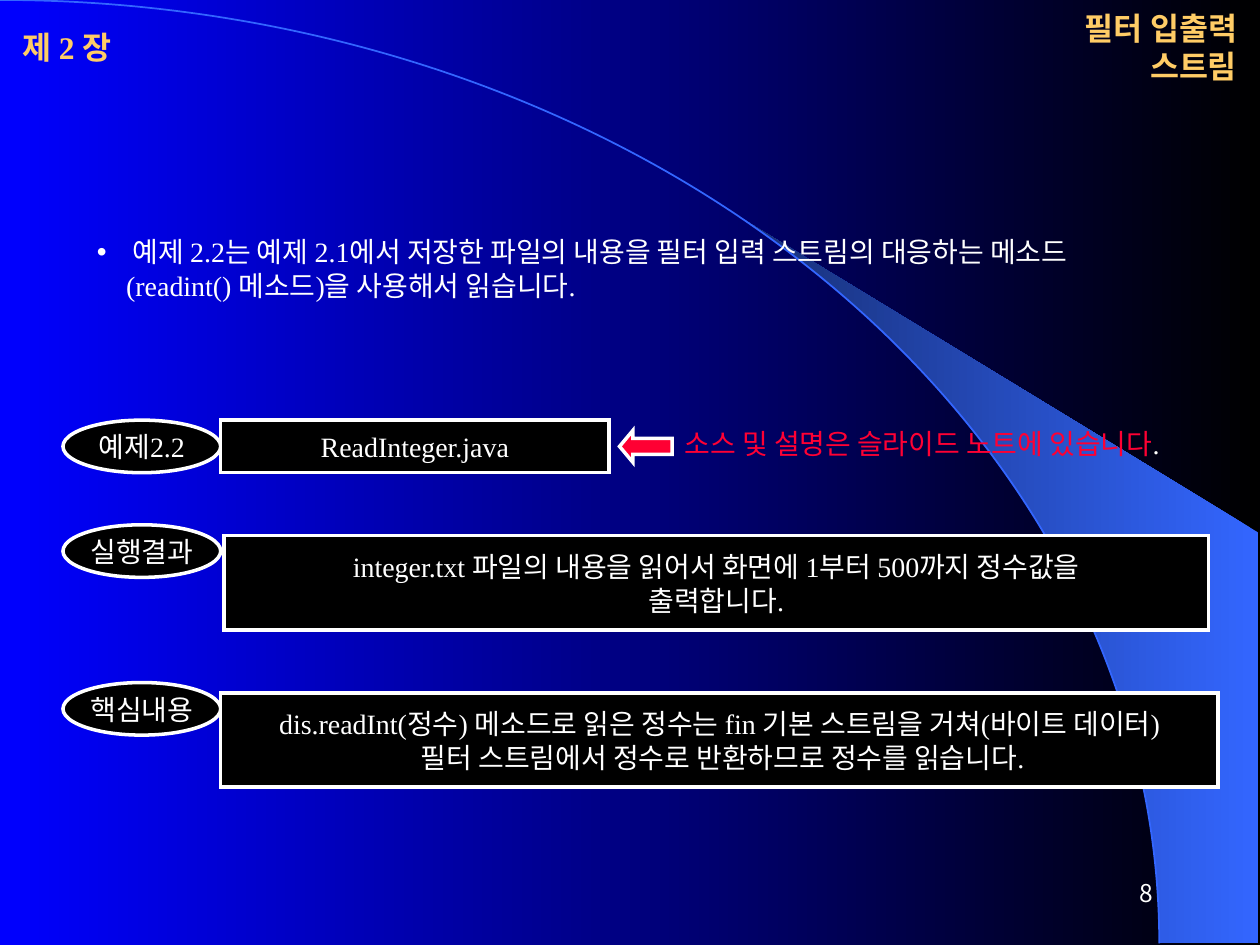
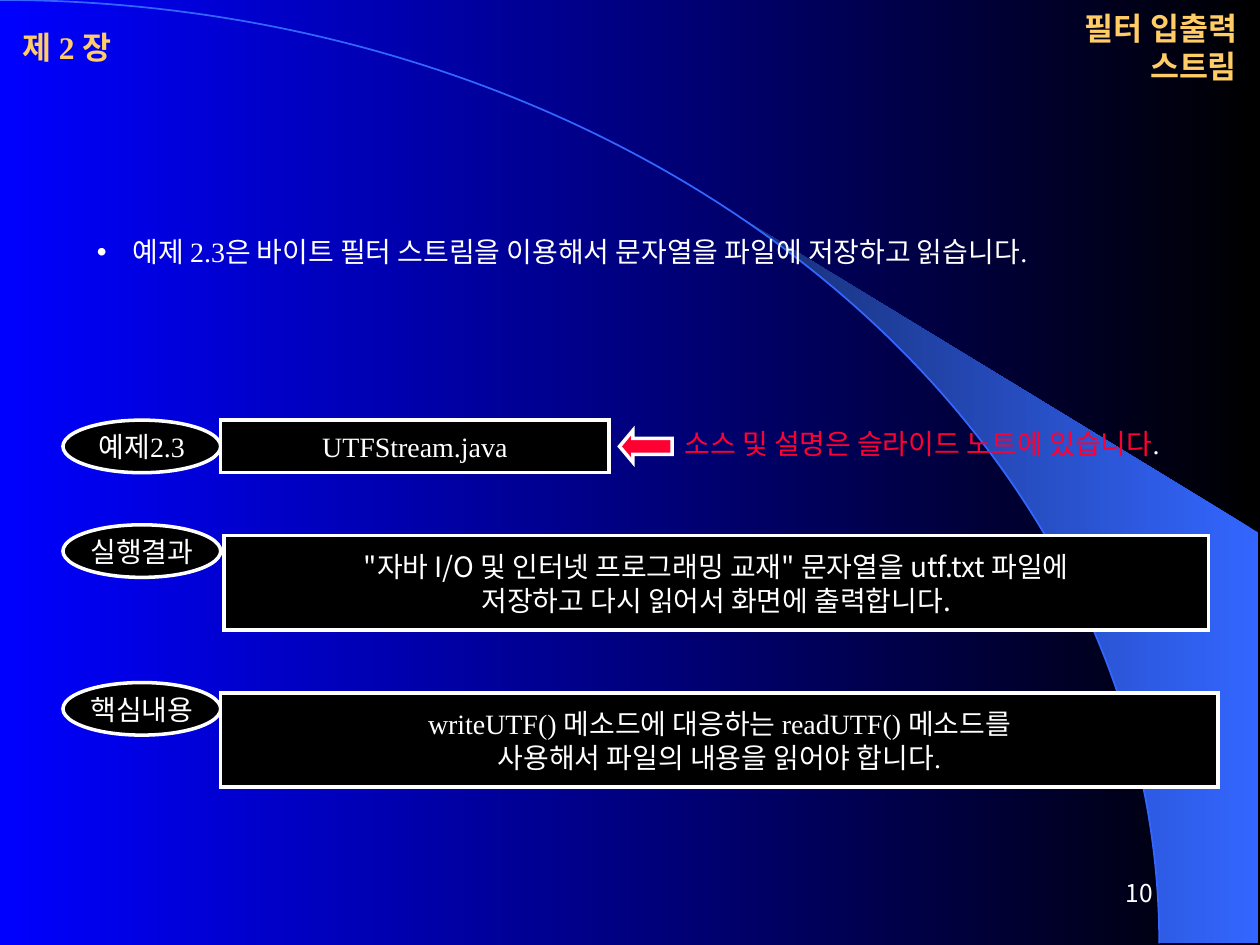
from dataclasses import dataclass
from math import asin, cos, pi, sin

from lxml import etree
from pptx import Presentation
from pptx.dml.color import RGBColor
from pptx.enum.shapes import MSO_SHAPE
from pptx.enum.text import MSO_ANCHOR, MSO_AUTO_SIZE, PP_ALIGN
from pptx.oxml.ns import qn
from pptx.util import Cm, Pt

ARC, ARROW = MSO_SHAPE.ARC, MSO_SHAPE.LEFT_ARROW
OVAL, RECT = MSO_SHAPE.OVAL, MSO_SHAPE.RECTANGLE
LEFT, MID, RIGHT = PP_ALIGN.LEFT, PP_ALIGN.CENTER, PP_ALIGN.RIGHT
TOP, CENTER = MSO_ANCHOR.TOP, MSO_ANCHOR.MIDDLE
FIXED = MSO_AUTO_SIZE.NONE


@dataclass(frozen=True)
class Theme:
    white: str = "FFFFFF"
    black: str = "000000"
    blue: str = "0000FF"
    gold: str = "FFCC66"
    red: str = "FF0033"
    sky: str = "3366FF"
    navy: str = "172F75"
    serif: str = "Times New Roman"
    sans: str = "Noto Sans CJK KR"
    head: float = 18
    text: float = 16
    foot: float = 14
    lead: float = 19.4
    gap: float = 10
    edge: float = 2
    thin: float = 1


@dataclass(frozen=True)
class Box:
    left: float
    top: float
    width: float
    height: float

    def cm(self) -> list:
        return [Cm(n) for n in (self.left, self.top, self.width, self.height)]


@dataclass(frozen=True)
class Page:
    number: str
    intro: str
    lines: int
    label: str
    code: str
    result: str
    font: str
    point: str


THEME = Theme()
WIDE, HIGH = 25.4, 19.05
CURVE_X, CURVE_Y = 23.37, 19.02
CHAPTER, TOPIC = "제 2 장", "필터 입출력 스트림"
HEAD_LEFT = Box(0.21, 0.42, 3.6, 1.06)
HEAD_RIGHT = Box(21.38, 0.42, 3.81, 1.06)
CODE = Box(4.45, 8.47, 7.83, 1.06)
POINTER = Box(12.49, 8.68, 1.06, 0.64)
NOTE = Box(13.55, 8.47, 11.22, 0.93)
RESULT = Box(4.52, 10.8, 19.84, 1.9)
POINT = Box(4.45, 13.97, 20.11, 1.9)
NUMBER = Box(18.2, 17.36, 5.29, 1.27)
TAG_TOPS = (8.47, 10.58, 13.76)

PAGES = (
    Page(
        "8",
        " 예제 2.2는 예제 2.1에서 저장한 파일의 내용을 필터 입력 스트림의 대응하는 "
        "메소드(readint() 메소드)을 사용해서 읽습니다.",
        2,
        "예제2.2",
        "ReadInteger.java",
        "integer.txt 파일의 내용을 읽어서 화면에 1부터 500까지 정수값을\n출력합니다.",
        THEME.serif,
        "dis.readInt(정수) 메소드로 읽은 정수는 fin 기본 스트림을 거쳐(바이트 데이터)\n"
        " 필터 스트림에서 정수로 반환하므로 정수를 읽습니다.",
    ),
    Page(
        "10",
        " 예제 2.3은 바이트 필터 스트림을 이용해서 문자열을 파일에 저장하고 읽습니다.",
        1,
        "예제2.3",
        "UTFStream.java",
        '"자바 I/O 및 인터넷 프로그래밍 교재" 문자열을 utf.txt 파일에\n'
        "저장하고 다시 읽어서 화면에 출력합니다.",
        THEME.sans,
        "writeUTF() 메소드에 대응하는 readUTF() 메소드를\n사용해서 파일의 내용을 읽어야 합니다.",
    ),
)


def rgb(code: str) -> RGBColor:
    return RGBColor.from_string(code)


def add_run(para, text: str, font: str, size: float, color: str, bold: bool) -> None:
    run = para.add_run()
    run.text = text
    run.font.name = font
    run.font.size = Pt(size)
    run.font.bold = bold
    run.font.color.rgb = rgb(color)
    east = etree.SubElement(run.font._element, qn("a:ea"))
    east.set("typeface", THEME.sans)


def put_text(frame, text: str, *, font: str = THEME.serif, size: float = THEME.text,
             color: str = THEME.white, bold: bool = False, align=MID, anchor=CENTER,
             wrap: bool = False, lead: float | None = THEME.lead, gap: float = 0,
             tail: str = "") -> None:
    frame.auto_size = FIXED
    frame.word_wrap = wrap
    frame.vertical_anchor = anchor
    for index, line in enumerate(text.split("\n")):
        para = frame.add_paragraph() if index else frame.paragraphs[0]
        para.alignment = align
        para.space_before = Pt(gap)
        if lead:
            para.line_spacing = Pt(lead)
        add_run(para, line, font, size, color, bold)
    if tail:
        add_run(para, tail, font, size, THEME.white, bold)


def place(shape, box: Box) -> None:
    shape.left, shape.top, shape.width, shape.height = box.cm()


def add_text(slide, box: Box, text: str, **style) -> None:
    put_text(slide.shapes.add_textbox(*box.cm()).text_frame, text, **style)


def add_panel(slide, kind, box: Box, text: str = "", fill: str = THEME.black, **style):
    shape = slide.shapes.add_shape(kind, *box.cm())
    shape.shadow.inherit = False
    shape.fill.solid()
    shape.fill.fore_color.rgb = rgb(fill)
    shape.line.color.rgb = rgb(THEME.white)
    shape.line.width = Pt(THEME.edge)
    line = shape.element.spPr.find(qn("a:ln"))
    etree.SubElement(line, qn("a:miter"), lim="800000")
    if text:
        put_text(shape.text_frame, text, **style)
    return shape


def shade(fill, start: str, end: str) -> None:
    fill.gradient()
    fill.gradient_angle = 180
    for stop, color, spot in zip(fill.gradient_stops, (start, end), (0, 1)):
        stop.color.rgb = rgb(color)
        stop.position = spot


def add_beam(slide):
    first = asin(0.64)
    steps = 40
    turns = [first + (pi / 2 - first) * n / steps for n in range(steps + 1)]
    rim = [(Cm(CURVE_X * sin(t)), Cm(CURVE_Y * (1 - cos(t)))) for t in turns]
    ends = [(Cm(25.37), Cm(CURVE_Y)), (Cm(25.37), Cm(10.74))]
    maker = slide.shapes.build_freeform(*rim[0])
    maker.add_line_segments(rim[1:] + ends, close=True)
    beam = maker.convert_to_shape()
    beam.shadow.inherit = False
    shade(beam.fill, THEME.sky, THEME.navy)
    beam.line.fill.background()
    return beam


def add_curve(slide):
    box = Box(-CURVE_X, 0, 2 * CURVE_X, 2 * CURVE_Y)
    curve = slide.shapes.add_shape(ARC, *box.cm())
    curve.shadow.inherit = False
    curve.fill.background()
    curve.line.color.rgb = rgb(THEME.sky)
    curve.line.width = Pt(THEME.thin)
    return curve


def dress_master(master, slide) -> None:
    shade(master.background.fill, THEME.black, THEME.blue)
    for index, shape in enumerate((add_beam(slide), add_curve(slide))):
        shape.element.nvSpPr.cNvPr.set("id", str(100 + index))
        master.shapes.element.append(shape.element)


def add_heads(slide) -> None:
    style = dict(size=THEME.head, color=THEME.gold, bold=True, lead=None)
    place(slide.shapes.title, HEAD_RIGHT)
    put_text(slide.shapes.title.text_frame, TOPIC, align=RIGHT, **style)
    add_text(slide, HEAD_LEFT, CHAPTER, align=LEFT, **style)


def add_intro(slide, page: Page) -> None:
    body = slide.placeholders[1]
    place(body, Box(1.7, 4.6, 21.59, 0.25 + 0.69 * page.lines))
    put_text(body.text_frame, page.intro, align=LEFT, anchor=TOP, wrap=True, gap=THEME.gap)
    props = body.text_frame.paragraphs[0]._p.get_or_add_pPr()
    props.set("marL", str(Cm(0.59)))
    props.set("indent", str(Cm(-0.59)))
    tint = etree.SubElement(props, qn("a:buClr"))
    etree.SubElement(tint, qn("a:srgbClr"), val=THEME.white)
    etree.SubElement(props, qn("a:buChar"), char="•")


def fill_slide(slide, page: Page) -> None:
    add_heads(slide)
    add_intro(slide, page)
    for top, label in zip(TAG_TOPS, (page.label, "실행결과", "핵심내용")):
        add_panel(slide, OVAL, Box(1.27, top, 3.18, 1.06), label)
    add_panel(slide, RECT, CODE, page.code)
    add_text(slide, NOTE, "소스 및 설명은 슬라이드 노트에 있습니다", color=THEME.red,
             align=LEFT, anchor=TOP, wrap=True, gap=THEME.gap, tail=".")
    arrow = add_panel(slide, ARROW, POINTER, fill=THEME.red)
    arrow.adjustments[0], arrow.adjustments[1] = 0.5, 0.42
    add_panel(slide, RECT, RESULT, page.result, font=page.font)
    add_panel(slide, RECT, POINT, page.point)
    add_text(slide, NUMBER, page.number, font=THEME.sans, size=THEME.foot,
             align=RIGHT, wrap=True, lead=None)


def main() -> None:
    deck = Presentation()
    deck.slide_width, deck.slide_height = Cm(WIDE), Cm(HIGH)
    slides = [deck.slides.add_slide(deck.slide_layouts[1]) for _ in PAGES]
    dress_master(deck.slide_master, slides[0])
    for slide, page in zip(slides, PAGES):
        fill_slide(slide, page)
    deck.save("out.pptx")


if __name__ == "__main__":
    main()
